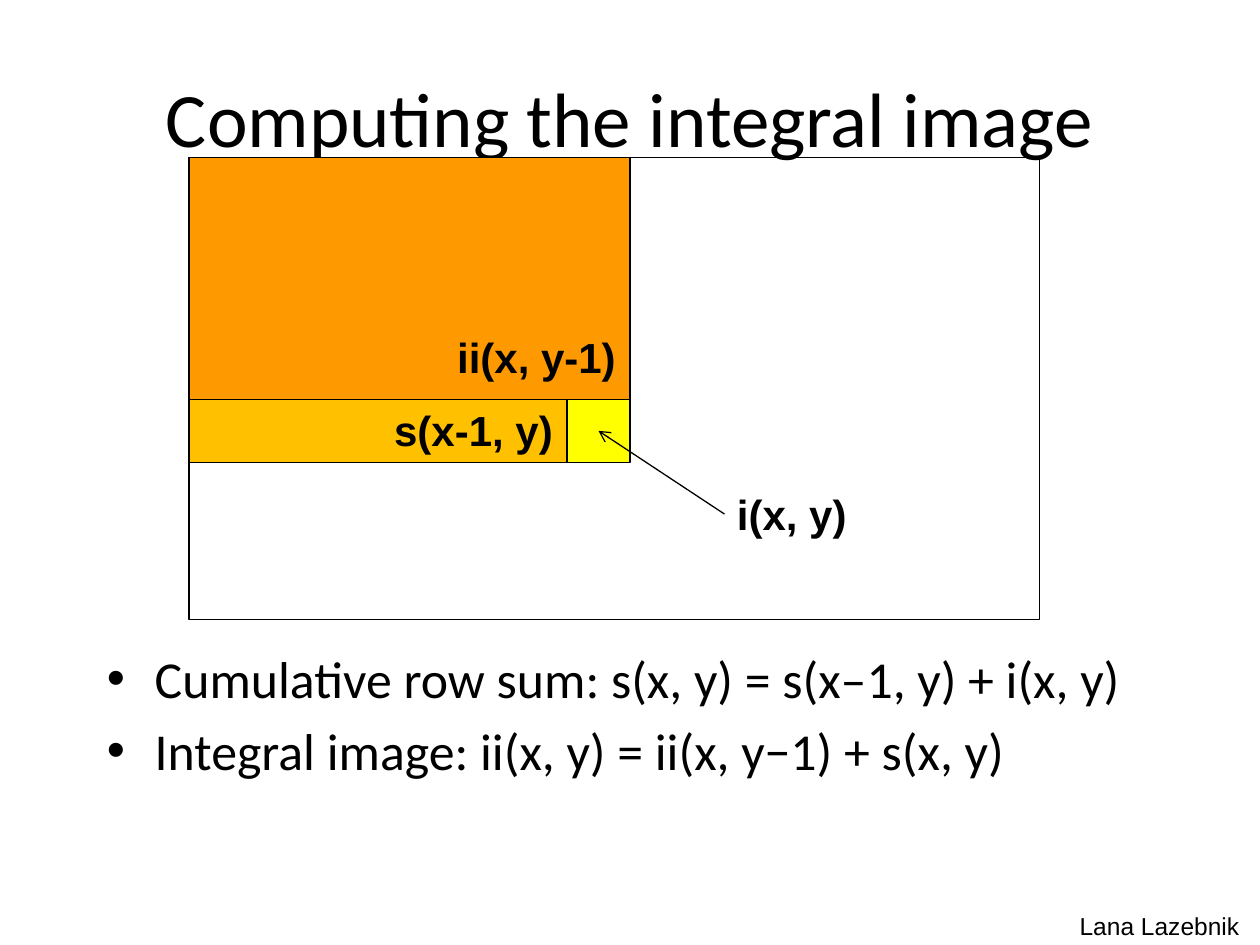
"""Build the slide on computing the integral image."""
from lxml.etree import SubElement
from pptx import Presentation
from pptx.dml.color import RGBColor
from pptx.enum.shapes import MSO_CONNECTOR as CONN, MSO_SHAPE as SHAPE
from pptx.enum.text import MSO_ANCHOR as ANCHOR, MSO_AUTO_SIZE as AUTO, PP_ALIGN as ALIGN
from pptx.oxml.ns import qn
from pptx.util import Inches, Pt

BLACK = RGBColor(0x00, 0x00, 0x00)
ORANGE = RGBColor(0xFF, 0x99, 0x00)
AMBER = RGBColor(0xFF, 0xC0, 0x00)
YELLOW = RGBColor(0xFF, 0xFF, 0x00)


def style(p, font, size, bold=False):
    for r in p.runs:
        r.font.name = font
        r.font.size = Pt(size)
        r.font.bold = bold
        r.font.color.rgb = BLACK


def add_text(box, text, size, bold=False, wrap=False):
    tf = s.shapes.add_textbox(*map(Inches, box)).text_frame
    tf.word_wrap = wrap
    tf.auto_size = AUTO.SHAPE_TO_FIT_TEXT
    tf.text = text
    style(tf.paragraphs[0], "Arial", size, bold)


prs = Presentation()
prs.slide_width, prs.slide_height = Inches(10), Inches(7.5)
s = prs.slides.add_slide(prs.slide_layouts[5])

title = s.shapes.title
title.left, title.top = Inches(0.5), Inches(0.3)
title.width, title.height = Inches(9), Inches(1.25)
tf = title.text_frame
tf.text = "Computing the integral image"
tf.vertical_anchor = ANCHOR.MIDDLE
tf.paragraphs[0].alignment = ALIGN.CENTER
style(tf.paragraphs[0], "Calibri", 44)

formulas = [
    "Cumulative row sum: s(x, y) = s(x–1, y) + i(x, y)",
    "Integral image: ii(x, y) = ii(x, y−1) + s(x, y)",
]
tf = s.shapes.add_textbox(Inches(0.75), Inches(5.08), Inches(8.5), Inches(1.5)).text_frame
tf.word_wrap = True
for i, formula in enumerate(formulas):
    p = tf.add_paragraph() if i else tf.paragraphs[0]
    p.text = formula
    p.space_before = Pt(6 if i else 0)
    pPr = p._p.get_or_add_pPr()
    pPr.set("marL", str(Inches(0.38)))
    pPr.set("indent", str(Inches(-0.38)))
    SubElement(pPr, qn("a:buFont"), typeface="Arial")
    SubElement(pPr, qn("a:buChar"), char="•")
    style(p, "Calibri", 29.6)

regions = [
    ((1.5, 1.25, 6.75, 3.67), None),
    ((1.5, 1.25, 3.5, 1.92), ORANGE),
    ((1.5, 3.17, 3, 0.5), AMBER),
    ((4.5, 3.17, 0.5, 0.5), YELLOW),
]
for box, color in regions:
    sp = s.shapes.add_shape(SHAPE.RECTANGLE, *map(Inches, box))
    sp.shadow.inherit = False
    sp.line.color.rgb = BLACK
    sp.line.width = Pt(0.75)
    if color is None:
        sp.fill.background()
    else:
        sp.fill.solid()
        sp.fill.fore_color.rgb = color

labels = [
    ((3.53, 2.58, 1.47, 0.51), "ii(x, y-1)"),
    ((3.03, 3.16, 1.47, 0.51), "s(x-1, y)"),
    ((5.75, 3.83, 1.08, 0.51), "i(x, y)"),
]
for box, text in labels:
    add_text(box, text, 24, bold=True)

arrow = s.shapes.add_connector(
    CONN.STRAIGHT, Inches(5.75), Inches(4.08), Inches(4.75), Inches(3.42))
arrow.line.color.rgb = BLACK
arrow.line.width = Pt(0.75)
SubElement(arrow.line._get_or_add_ln(), qn("a:tailEnd"), type="arrow")
SubElement(arrow._element.spPr, qn("a:effectLst"))

add_text((8.47, 7.18, 2.16, 0.34), "Lana Lazebnik", 14, wrap=True)

prs.save("out.pptx")
